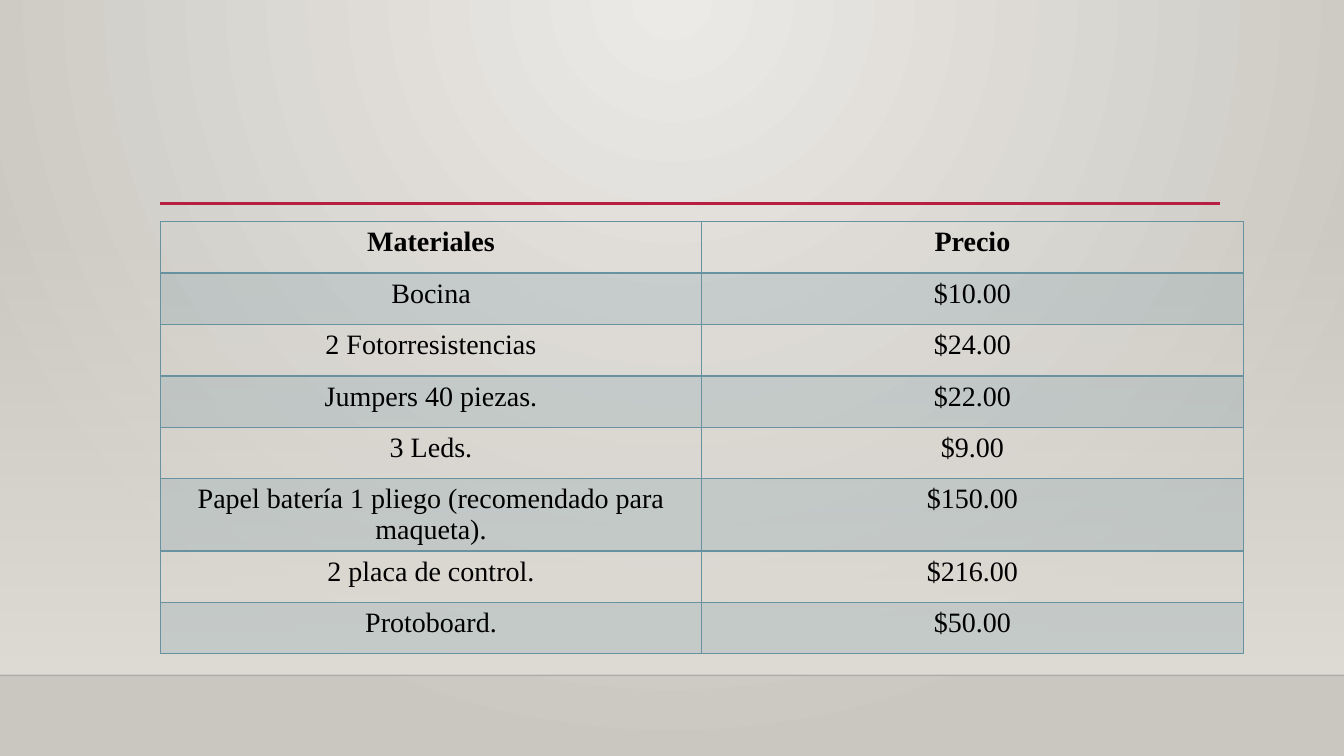
from lxml.etree import SubElement
from pptx import Presentation
from pptx.dml.color import RGBColor
from pptx.enum.shapes import MSO_CONNECTOR as Connector, MSO_SHAPE as Shape
from pptx.enum.text import PP_ALIGN as Align
from pptx.oxml.ns import qn
from pptx.util import Inches, Pt

HEADERS = ("Materiales", "Precio")
ITEMS = [
    ("Bocina", "$10.00"),
    ("2 Fotorresistencias", "$24.00"),
    ("Jumpers 40 piezas.", "$22.00"),
    ("3 Leds.", "$9.00"),
    ("Papel batería 1 pliego (recomendado para maqueta).", "$150.00"),
    ("2 placa de control.", "$216.00"),
    ("Protoboard.", "$50.00"),
]
COLORS = {
    "glow": "ECEAE7", "edge": "CAC7C1", "wall": "DFDBD5", "floor": "000001",
    "accent": "B71E42", "grid": "6892A0", "text": "000000",
}
FONT = "Times New Roman"
WIDTH, HEIGHT = 13.33, 7.5
FLOOR_Y, WALL_Y, RULE_Y = 6.7, 2.21, 2.02
TABLE_X, TABLE_Y, COLUMN_W, ROW_H = 1.59, 2.2, 5.37, 0.51


def set_alpha(parent, percent):
    for color in parent.iter(qn("a:srgbClr")):
        SubElement(color, qn("a:alpha"), val=str(percent * 1000))


def set_gradient(fill, first, last):
    fill.gradient()
    for stop, name, position in zip(fill.gradient_stops, (first, last), (0, 1)):
        stop.color.rgb = RGBColor.from_string(COLORS[name])
        stop.position = position


def add_line(x1, x2, y, name, width):
    line = page.shapes.add_connector(
        Connector.STRAIGHT, Inches(x1), Inches(y), Inches(x2), Inches(y))
    line.line.color.rgb = RGBColor.from_string(COLORS[name])
    line.line.width = Pt(width)
    SubElement(line._element.spPr, qn("a:effectLst"))
    return line


def add_border(cell, side, width):
    border = SubElement(cell._tc.get_or_add_tcPr(), qn("a:ln" + side), w=str(Pt(width)))
    SubElement(SubElement(border, qn("a:solidFill")), qn("a:srgbClr"), val=COLORS["grid"])


deck = Presentation()
deck.slide_width, deck.slide_height = Inches(WIDTH), Inches(HEIGHT)
page = deck.slides.add_slide(deck.slide_layouts[6])

# Background: a glow centred on the top edge
set_gradient(page.background.fill, "glow", "edge")
gradient = next(page._element.iter(qn("a:gradFill")))
gradient.remove(gradient.find(qn("a:lin")))
circle = SubElement(gradient, qn("a:path"), {"path": "circle"})
SubElement(circle, qn("a:fillToRect"), l="43000", t="0", r="43000", b="100000")

# Wall that fades in downwards to the floor line
wall = page.shapes.add_shape(
    Shape.RECTANGLE, 0, Inches(WALL_Y), Inches(WIDTH), Inches(FLOOR_Y - WALL_Y))
wall.shadow.inherit = False
wall.line.fill.background()
set_gradient(wall.fill, "wall", "wall")
wall.fill.gradient_angle = 270
set_alpha(wall.fill.gradient_stops[0]._gs, 0)

# Floor line and accent rule
floor = add_line(0, WIDTH, FLOOR_Y, "floor", 1)
set_alpha(floor._element.spPr, 20)
add_line(TABLE_X, 12.1, RULE_Y, "accent", 2.5)

# Price table
rows = [HEADERS] + ITEMS
table = page.shapes.add_table(
    len(rows), len(HEADERS), Inches(TABLE_X), Inches(TABLE_Y),
    Inches(COLUMN_W * len(HEADERS)), Inches(ROW_H * len(rows))).table
table.horz_banding = False
for r, row in enumerate(rows):
    table.rows[r].height = Inches(ROW_H)
    for c, text in enumerate(row):
        cell = table.cell(r, c)
        cell.text_frame.text = text
        para = cell.text_frame.paragraphs[0]
        para.alignment = Align.CENTER
        font = para.runs[0].font
        font.name, font.size, font.bold = FONT, Pt(20), r == 0
        font.color.rgb = RGBColor.from_string(COLORS["text"])
        for side in "LRTB":
            heavy = (r, side) in ((0, "B"), (1, "T"))
            add_border(cell, side, 2 if heavy else 1)
        if r % 2:
            cell.fill.solid()
            cell.fill.fore_color.rgb = RGBColor.from_string(COLORS["grid"])
            set_alpha(cell._tc.tcPr.find(qn("a:solidFill")), 20)
        else:
            cell.fill.background()

deck.save("out.pptx")
